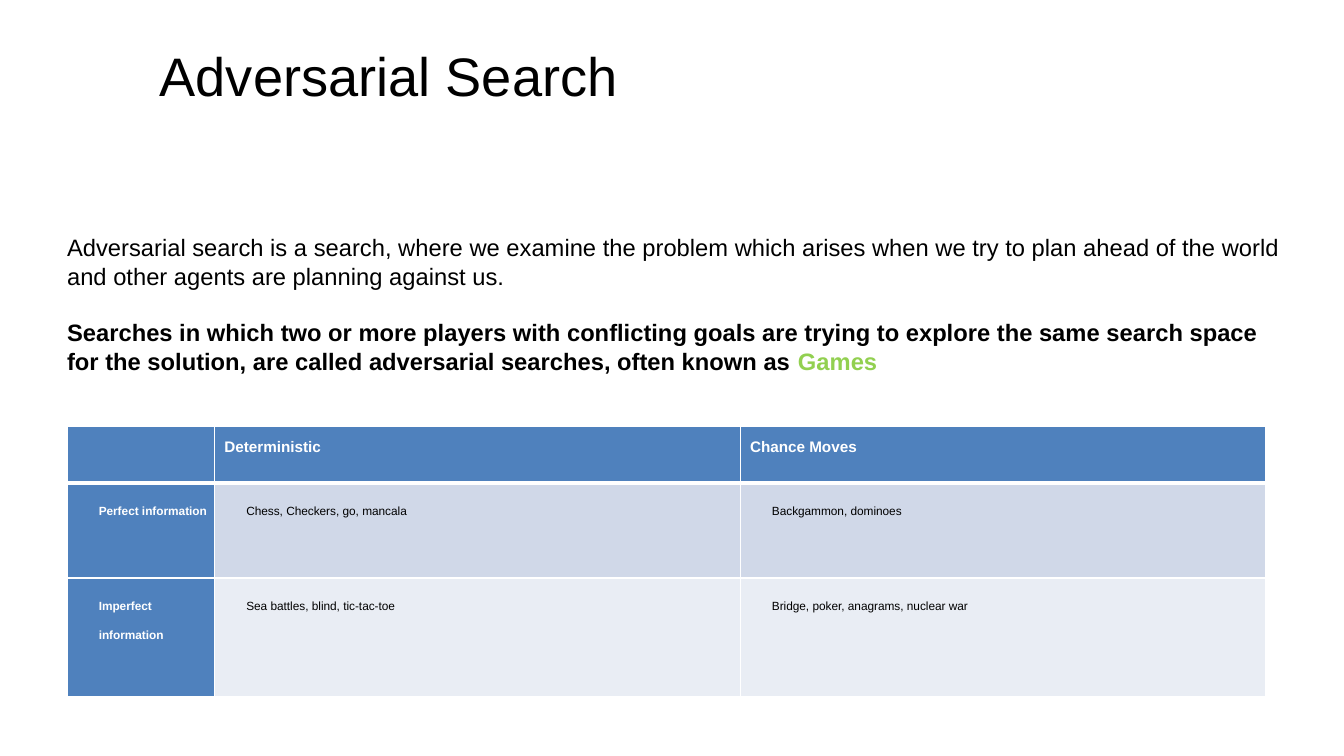
from dataclasses import dataclass

from lxml.etree import SubElement
from pptx import Presentation
from pptx.dml.color import RGBColor
from pptx.enum.text import MSO_ANCHOR
from pptx.oxml.ns import qn
from pptx.util import Inches, Pt

FONT = "Arial"
COLORS = {
    "text": "000000",
    "games": "92D050",
    "header": "4F81BD",
    "band_dark": "D0D8E8",
    "band_light": "E9EDF4",
    "white": "FFFFFF",
}


@dataclass
class Span:
    text: str
    size: float
    bold: bool = False
    color: str = "text"


@dataclass
class TextBlock:
    left: float
    top: float
    width: float
    height: float
    paragraphs: list[list[Span]]
    line_spacing: float | Pt = 1.0
    gap: float = 0


@dataclass
class GameRow:
    height: float
    texts: tuple[str, str, str]
    fill: str
    size: float
    margin: float
    indent: float
    line_spacing: float | Pt
    bottom_border: float = 1


BLOCKS = [
    TextBlock(1.31, 0.35, 9.16, 0.52, [[Span("Adversarial Search", 32)]]),
    TextBlock(0.55, 1.91, 10.08, 1.17, [
        [Span("Adversarial search is a search, where we examine the problem which "
              "arises when we try to plan ahead of the world and other agents are "
              "planning against us.", 14)],
        [Span("Searches in which two or more players with conflicting goals are "
              "trying to explore the same search space for the solution, are called "
              "adversarial searches, often known as ", 14, True),
         Span("Games", 14, True, "games")],
    ], Pt(16.8), 16.8),
]

COLUMN_WIDTHS = (1.21, 4.31, 4.31)
GAME_ROWS = [
    GameRow(0.44, ("", "Deterministic", "Chance Moves"),
            "header", 9, 0.08, 0, 1.15, 3),
    GameRow(0.78, ("Perfect information", "Chess, Checkers, go, mancala",
                   "Backgammon, dominoes"),
            "band_dark", 7, 0.05, 0.21, Pt(17.2)),
    GameRow(0.97, ("Imperfect information", "Sea battles, blind, tic-tac-toe",
                   "Bridge, poker, anagrams, nuclear war"),
            "band_light", 7, 0.05, 0.21, Pt(17.2)),
]


def rgb(name: str) -> RGBColor:
    return RGBColor.from_string(COLORS[name])


def style_font(font, size: float, bold: bool, color: str) -> None:
    font.name = FONT
    font.size = Pt(size)
    font.bold = bold
    font.color.rgb = rgb(color)


def draw_text(slide, block: TextBlock) -> None:
    frame = slide.shapes.add_textbox(
        Inches(block.left), Inches(block.top),
        Inches(block.width), Inches(block.height)).text_frame
    frame.word_wrap = True
    frame.margin_left = frame.margin_right = 0
    frame.margin_top = frame.margin_bottom = 0
    for index, spans in enumerate(block.paragraphs):
        paragraph = frame.add_paragraph() if index else frame.paragraphs[0]
        paragraph.line_spacing = block.line_spacing
        paragraph.space_after = Pt(block.gap)
        paragraph.text = ""
        for span in spans:
            run = paragraph.add_run()
            run.text = span.text
            style_font(run.font, span.size, span.bold, span.color)


def add_borders(cell, top: float, bottom: float) -> None:
    properties = cell._tc.get_or_add_tcPr()
    for side, width in (("lnL", 1), ("lnR", 1), ("lnT", top), ("lnB", bottom)):
        line = SubElement(properties, qn(f"a:{side}"), w=str(Pt(width)))
        fill = SubElement(line, qn("a:solidFill"))
        SubElement(fill, qn("a:srgbClr"), val=COLORS["white"])


def draw_cell(cell, row: GameRow, text: str, is_heading: bool, top: float) -> None:
    add_borders(cell, top, row.bottom_border)
    cell.fill.solid()
    cell.fill.fore_color.rgb = rgb("header" if is_heading else row.fill)
    cell.vertical_anchor = MSO_ANCHOR.TOP
    cell.margin_left = Inches(row.margin + row.indent)
    cell.margin_right = cell.margin_top = cell.margin_bottom = Inches(row.margin)
    paragraph = cell.text_frame.paragraphs[0]
    paragraph.text = text
    paragraph.line_spacing = row.line_spacing
    for run in paragraph.runs:
        style_font(run.font, row.size, is_heading,
                   "white" if is_heading else "text")


def draw_games(slide) -> None:
    games = slide.shapes.add_table(
        len(GAME_ROWS), len(COLUMN_WIDTHS), Inches(0.55), Inches(3.5),
        Inches(sum(COLUMN_WIDTHS)),
        Inches(sum(row.height for row in GAME_ROWS))).table
    for column, width in zip(games.columns, COLUMN_WIDTHS):
        column.width = Inches(width)
    top = 1
    for r, row in enumerate(GAME_ROWS):
        games.rows[r].height = Inches(row.height)
        for c, text in enumerate(row.texts):
            draw_cell(games.cell(r, c), row, text, r == 0 or c == 0, top)
        top = row.bottom_border


def main() -> None:
    deck = Presentation()
    deck.slide_width, deck.slide_height = Inches(11.02), Inches(6.2)
    slide = deck.slides.add_slide(deck.slide_layouts[6])

    # Title and definition
    for block in BLOCKS:
        draw_text(slide, block)

    # Kinds of games
    draw_games(slide)

    deck.save("out.pptx")


if __name__ == "__main__":
    main()
